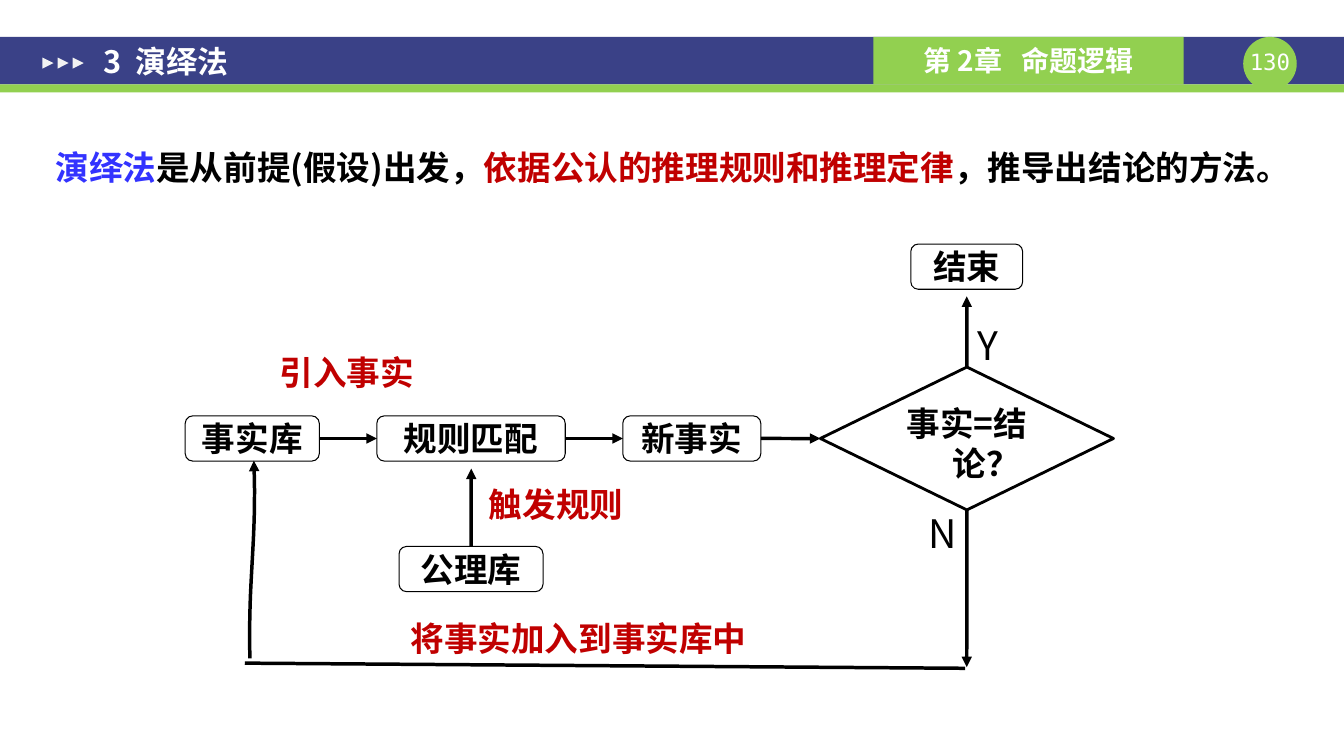
from lxml.etree import SubElement
from pptx import Presentation
from pptx.dml.color import RGBColor
from pptx.enum.shapes import MSO_CONNECTOR, MSO_SHAPE
from pptx.enum.text import MSO_ANCHOR, PP_ALIGN
from pptx.oxml.ns import qn
from pptx.util import Cm, Pt

BLACK = RGBColor(0x00, 0x00, 0x00)
WHITE = RGBColor(0xFF, 0xFF, 0xFF)
PALE = RGBColor(0xF2, 0xF2, 0xF2)
NAVY = RGBColor(0x3A, 0x41, 0x87)
GREEN = RGBColor(0x92, 0xD0, 0x50)
BLUE = RGBColor(0x33, 0x33, 0xFF)
RED = RGBColor(0xC0, 0x00, 0x00)

TOP, LEFT, BOTTOM, RIGHT = range(4)  # connection sites
BOX_HEIGHT = 1.14
ROW_MIDDLE = 11.05


class FlowPage:
    """Style and drawing methods for one page; all lengths in centimetres."""

    font_name = "Noto Sans CJK SC"
    arrow_width = Pt(2.5)

    def __init__(self, page):
        self.page = page

    def style(self, font, size, color, bold=True, name=font_name):
        font.size, font.bold, font.name = Pt(size), bold, name
        font.color.rgb = color
        SubElement(font._rPr, qn("a:ea"), typeface=name)

    def frame(self, box, margins=(0, 0), anchor=MSO_ANCHOR.TOP):
        frame = box.text_frame
        frame.word_wrap = True
        frame.vertical_anchor = anchor
        frame.margin_left = frame.margin_right = Cm(margins[0])
        frame.margin_top = frame.margin_bottom = Cm(margins[1])
        return frame

    def put_text(self, box, text, size=24, color=BLACK, align=PP_ALIGN.CENTER,
                 margins=(0, 0), anchor=MSO_ANCHOR.TOP, **font):
        para = self.frame(box, margins, anchor).paragraphs[0]
        para.text, para.alignment = text, align
        self.style(para.font, size, color, **font)
        return para

    def shape(self, kind, left, top, width, height, fill, line=None):
        box = self.page.shapes.add_shape(
            kind, Cm(left), Cm(top), Cm(width), Cm(height))
        box.shadow.inherit = False
        box.fill.solid()
        box.fill.fore_color.rgb = fill
        if line:
            box.line.color.rgb, box.line.width = BLACK, Pt(line)
        else:
            box.line.fill.background()
        return box

    def step(self, text, left, top, width):
        box = self.shape(MSO_SHAPE.FLOWCHART_ALTERNATE_PROCESS,
                         left, top, width, BOX_HEIGHT, WHITE, 0.75)
        self.put_text(box, text)
        return box

    def text_box(self, left, top, width, height):
        return self.page.shapes.add_textbox(
            Cm(left), Cm(top), Cm(width), Cm(height))

    def label(self, text, left, top, width, height=BOX_HEIGHT, **style):
        self.put_text(self.text_box(left, top, width, height), text, **style)

    def stroke(self, item, arrow=True):
        item.line.color.rgb, item.line.width = BLACK, self.arrow_width
        if arrow:
            SubElement(item.line._get_or_add_ln(), qn("a:tailEnd"), type="triangle")

    def connect(self, start, end, arrow=True):
        """Each end is an (x, y) point or a (shape, site) pair."""
        points = [(0, 0) if hasattr(spot[0], "shape_id") else spot
                  for spot in (start, end)]
        link = self.page.shapes.add_connector(
            MSO_CONNECTOR.STRAIGHT, *(Cm(value) for point in points for value in point))
        for spot, join in ((start, link.begin_connect), (end, link.end_connect)):
            if hasattr(spot[0], "shape_id"):
                join(*spot)
        self.stroke(link, arrow)
        SubElement(link._element.spPr, qn("a:effectLst"))

    def curve(self, *controls, pieces=16):
        """Arrow along a cubic curve with four control points."""
        points = []
        for index in range(pieces + 1):
            t = index / pieces
            weights = ((1 - t) ** 3, 3 * t * (1 - t) ** 2, 3 * t * t * (1 - t), t ** 3)
            points.append(tuple(
                Cm(sum(w * point[axis] for w, point in zip(weights, controls)))
                for axis in (0, 1)))
        builder = self.page.shapes.build_freeform(*points[0])
        builder.add_line_segments(points[1:], close=False)
        outline = builder.convert_to_shape()
        outline.shadow.inherit = False
        outline.fill.background()
        self.stroke(outline)


def draw_header(flow):
    flow.shape(MSO_SHAPE.RECTANGLE, 0, 0.93, 33.88, 1.2, NAVY)
    flow.shape(MSO_SHAPE.RECTANGLE, 0, 2.13, 33.88, 0.2, GREEN)
    flow.shape(MSO_SHAPE.OVAL, 31.34, 0.93, 1.35, 1.35, GREEN)
    flow.label("130", 31.34, 1.22, 1.35, 0.69, size=16, color=WHITE,
               bold=False, name="DejaVu Sans Mono")
    chapter = flow.shape(MSO_SHAPE.RECTANGLE, 22.02, 0.93, 7.82, 1.2, GREEN)
    flow.put_text(chapter, "第 2章   命题逻辑", size=20, color=WHITE,
                  margins=(0.25, 0.13), anchor=MSO_ANCHOR.MIDDLE)
    for index in range(3):
        marker = flow.shape(MSO_SHAPE.ISOSCELES_TRIANGLE,
                            1.07 + 0.38 * index, 1.45, 0.28, 0.28, PALE)
        marker.rotation = 90
    flow.label("3  演绎法", 2.29, 0.25, 19.5, 2.57, size=22, color=WHITE,
               align=PP_ALIGN.LEFT, margins=(0.33, 0.18), anchor=MSO_ANCHOR.MIDDLE)


def draw_definition(flow):
    box = flow.text_box(1.07, 3.02, 31.75, 1.83)
    para = flow.frame(box, (0.33, 0.18)).paragraphs[0]
    para.line_spacing = 1.5
    for text, color in (("演绎法", BLUE), ("是从前提(假设)出发，", BLACK),
                        ("依据公认的推理规则和推理定律", RED),
                        ("，推导出结论的方法。", BLACK)):
        span = para.add_run()
        span.text = text
        flow.style(span.font, 24, color)


def draw_flowchart(flow):
    # Steps
    row_top = ROW_MIDDLE - BOX_HEIGHT / 2
    facts = flow.step("事实库", 4.67, row_top, 3.38)
    matching = flow.step("规则匹配", 9.5, row_top, 4.75)
    new_fact = flow.step("新事实", 15.7, row_top, 3.48)
    axioms = flow.step("公理库", 10.06, 13.77, 3.63)
    flow.step("结束", 22.96, 6.15, 2.82)

    # Decision, with a hanging indent
    decision = flow.shape(MSO_SHAPE.FLOWCHART_DECISION,
                          20.68, ROW_MIDDLE - 1.8, 7.39, 3.6, WHITE, 2)
    para = flow.put_text(decision, "事实=结论？")
    properties = para._p.get_or_add_pPr()
    properties.set("marL", str(Cm(0.97)))
    properties.set("indent", str(-Cm(0.97)))

    # Arrows
    chain = (facts, matching, new_fact, decision)
    for before, after in zip(chain, chain[1:]):
        flow.connect((before, RIGHT), (after, LEFT))
    flow.connect((axioms, TOP), (11.88, 11.81))
    flow.connect((decision, TOP), (24.37, 7.47))
    flow.connect((decision, BOTTOM), (24.37, 16.81))
    flow.connect((24.33, 16.84), (6.17, 16.71), arrow=False)
    flow.curve((6.3, 16.59), (6.25, 14.53), (6.48, 13.67), (6.4, 11.61))

    # Labels
    for text, left, top, width in (("引入事实", 6.65, 8.86, 4.19),
                                   ("触发规则", 11.66, 12.19, 4.72),
                                   ("将事实加入到事实库中", 9.53, 15.57, 10.11)):
        flow.label(text, left, top, width, color=RED)
    for text, left, top in (("Y", 24.33, 8.1), ("N", 23.19, 12.83)):
        flow.label(text, left, top, 1.14, 1.3, size=28, bold=False)


def main():
    deck = Presentation()
    deck.slide_width, deck.slide_height = Cm(33.88), Cm(19.05)
    flow = FlowPage(deck.slides.add_slide(deck.slide_layouts[6]))
    draw_header(flow)
    draw_definition(flow)
    draw_flowchart(flow)
    deck.save("out.pptx")


if __name__ == "__main__":
    main()
